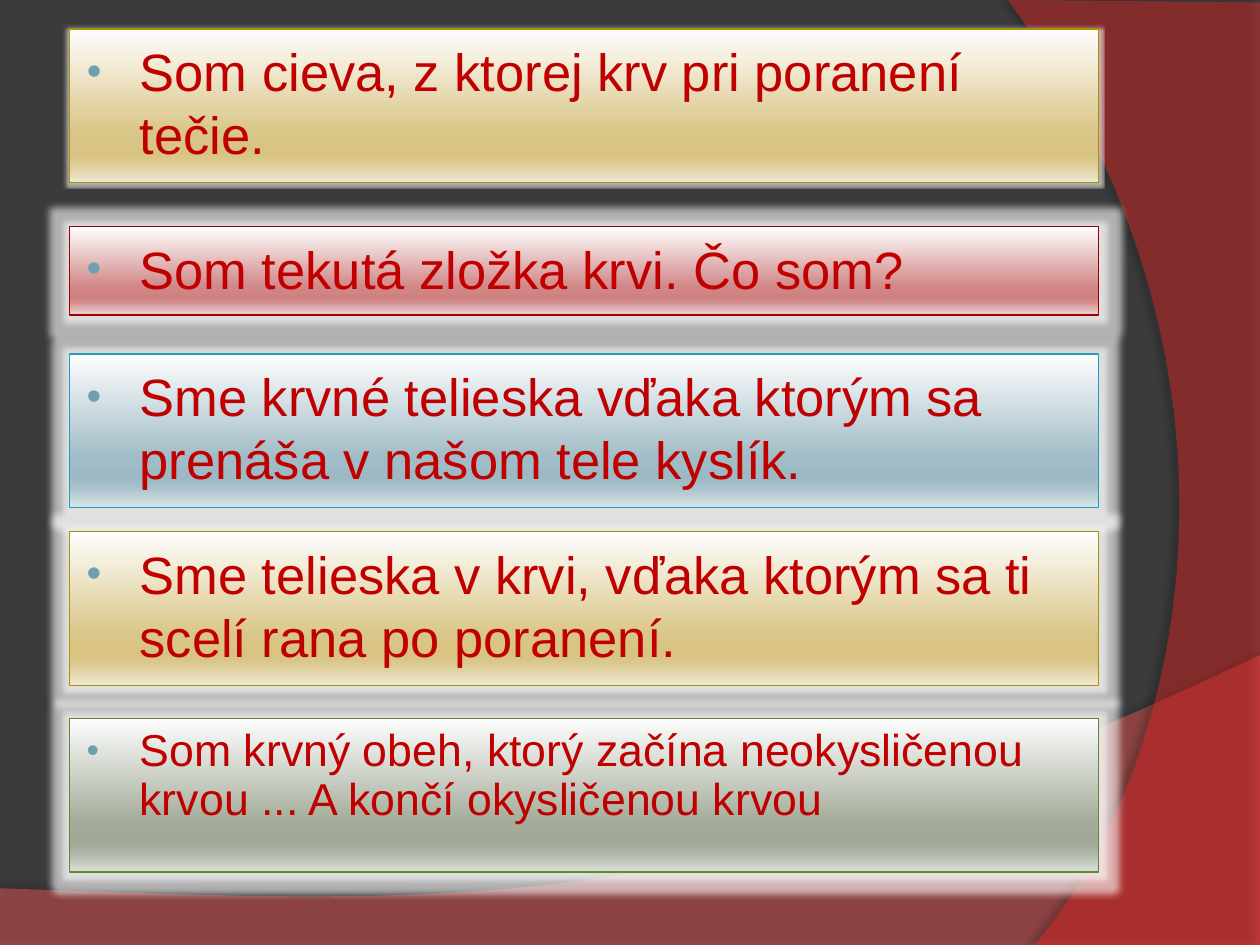
from dataclasses import dataclass

import pptx
import pptx.dml.color
import pptx.enum.shapes
import pptx.enum.text
import pptx.oxml
import pptx.oxml.ns
import pptx.util
from pptx.util import Inches

NS = pptx.oxml.ns.nsdecls("a")
STOPS = (0, 68, 81, 86, 100)
GOLD = ("FFFEFE", "D9C587", "D8C381", "DBC990", "EFE7D3")
RED = ("FEFEFE", "D18787", "CF8181", "D39090", "EBD3D3")
BLUE = ("FEFEFE", "A0BCC6", "9CB9C4", "A7C0C9", "DAE4E7")
GREEN = ("FEFEFE", "A3AC9A", "9FA996", "A9B1A1", "DBDED9")


@dataclass
class Clue:
    text: str
    top: float
    gradient: tuple[str, ...]
    border: str
    height: float = 1.22
    size: float = 30
    spacing: float = 1.0
    glow: float = 8


@dataclass
class Swoosh:
    before: list[tuple[float, float]]
    curve: list[tuple[float, float]]
    color: str
    opacity: int
    shadow_opacity: int
    distance: float
    direction: int


CLUES = [
    Clue("Som cieva, z ktorej krv pri poranení tečie.", 0.23, GOLD, "AB9200", glow=3),
    Clue("Som tekutá zložka krvi. Čo som?", 1.8, RED, "9A0000", height=0.7),
    Clue("Sme krvné telieska vďaka ktorým sa prenáša v našom tele kyslík.",
         2.81, BLUE, "239BC2"),
    Clue("Sme telieska v krvi, vďaka ktorým sa ti scelí rana po poranení.",
         4.22, GOLD, "AB9200"),
    Clue("Som krvný obeh, ktorý začína neokysličenou krvou ... "
         "A končí okysličenou krvou", 5.7, GREEN, "5F882F", size=25.5, spacing=0.9),
]
SWOOSHES = [
    Swoosh([(0, 7.05), (0, 7.51), (10, 7.51)],
           [(10, 5.2), (5.59, 7.29), (3.91, 7.19), (0, 7.05)],
           "F75757", 45, 35, 3.5, 270),
    Swoosh([(10, 0.02), (10, 7.5)],
           [(8.21, 7.5), (9.35, 6.19), (10.18, 3), (8, 0)],
           "FF2626", 40, 45, 4, 180),
]


def rgb(color: str):
    return pptx.dml.color.RGBColor.from_string(color)


def xml(markup: str):
    """Parse one drawing element, given without its namespace declaration."""
    tag, rest = markup.split(" ", 1)
    return pptx.oxml.parse_xml(f"{tag} {NS} {rest}")


def add_effect(sp, markup: str) -> None:
    sp.shadow.inherit = False
    sp._element.spPr.find(pptx.oxml.ns.qn("a:effectLst")).append(xml(markup))


def bezier(points, steps: int = 60):
    a, b, c, d = points
    for i in range(steps + 1):
        t = i / steps
        u = 1 - t
        yield tuple(u**3 * a[k] + 3 * u * u * t * b[k] + 3 * u * t * t * c[k] + t**3 * d[k]
                    for k in (0, 1))


def add_swoosh(slide, swoosh: Swoosh) -> None:
    points = [(Inches(x), Inches(y)) for x, y in (*swoosh.before, *bezier(swoosh.curve))]
    builder = slide.shapes.build_freeform(*points[0])
    builder.add_line_segments(points[1:], close=True)
    sp = builder.convert_to_shape()
    sp.fill.solid()
    sp.fill.fore_color.rgb = rgb(swoosh.color)
    color = sp._element.spPr.find(".//" + pptx.oxml.ns.qn("a:srgbClr"))
    color.append(xml(f'<a:alpha val="{swoosh.opacity * 1000}"/>'))
    sp.line.fill.background()
    add_effect(sp, f'<a:outerShdw blurRad="{pptx.util.Pt(4)}" '
                   f'dist="{pptx.util.Pt(swoosh.distance)}" dir="{swoosh.direction * 60000}">'
                   f'<a:srgbClr val="000000"><a:alpha val="{swoosh.shadow_opacity * 1000}"/>'
                   '</a:srgbClr></a:outerShdw>')


def set_gradient(sp, colors: tuple[str, ...]) -> None:
    sp.fill.gradient()
    sp.fill.gradient_angle = 270
    stops = sp._element.spPr.find(".//" + pptx.oxml.ns.qn("a:gsLst"))
    for old in list(stops):
        stops.remove(old)
    for position, color in zip(STOPS, colors):
        stops.append(xml(f'<a:gs pos="{position * 1000}"><a:srgbClr val="{color}"/></a:gs>'))


def format_clue(sp, clue: Clue) -> None:
    sp.left, sp.top = Inches(0.55), Inches(clue.top)
    sp.width, sp.height = Inches(8.17), Inches(clue.height)
    set_gradient(sp, clue.gradient)
    sp.line.color.rgb = rgb(clue.border)
    sp.line.width = pptx.util.Pt(0.75)
    add_effect(sp, f'<a:glow rad="{pptx.util.Pt(clue.glow)}"><a:srgbClr val="FFFFFF">'
                   '<a:alpha val="60000"/></a:srgbClr></a:glow>')

    tf = sp.text_frame
    tf.word_wrap = True
    tf.auto_size = pptx.enum.text.MSO_AUTO_SIZE.NONE
    tf.vertical_anchor = pptx.enum.text.MSO_ANCHOR.TOP
    tf.margin_top = Inches(0.08)
    p = tf.paragraphs[0]
    p.alignment = pptx.enum.text.PP_ALIGN.LEFT
    p.line_spacing = clue.spacing
    p.space_before = pptx.util.Pt(0)
    pPr = p._p.get_or_add_pPr()
    pPr.set("marL", str(Inches(0.46)))
    pPr.set("indent", str(Inches(-0.42)))
    for bullet in ('<a:buClr ><a:srgbClr val="6EA0B0"/></a:buClr>',
                   '<a:buSzPct val="80000"/>',
                   '<a:buFont typeface="Arial"/>',
                   '<a:buChar char="•"/>'):
        pPr.append(xml(bullet))
    r = p.add_run()
    r.text = clue.text
    r.font.name = "Arial"
    r.font.size = pptx.util.Pt(clue.size)
    r.font.color.rgb = rgb("C00000")


def main() -> None:
    prs = pptx.Presentation()
    prs.slide_width, prs.slide_height = Inches(10), Inches(7.5)
    slide = prs.slides.add_slide(prs.slide_layouts[1])
    slide.background.fill.solid()
    slide.background.fill.fore_color.rgb = rgb("3B3B3B")

    title, body = slide.placeholders
    title._element.getparent().remove(title._element)
    for swoosh in SWOOSHES:
        add_swoosh(slide, swoosh)
    slide.shapes._spTree.append(body._element)  # in front of the swooshes

    format_clue(body, CLUES[0])
    for clue in CLUES[1:]:
        sp = slide.shapes.add_shape(pptx.enum.shapes.MSO_SHAPE.RECTANGLE, 0, 0, 0, 0)
        format_clue(sp, clue)
    prs.save("out.pptx")


if __name__ == "__main__":
    main()
